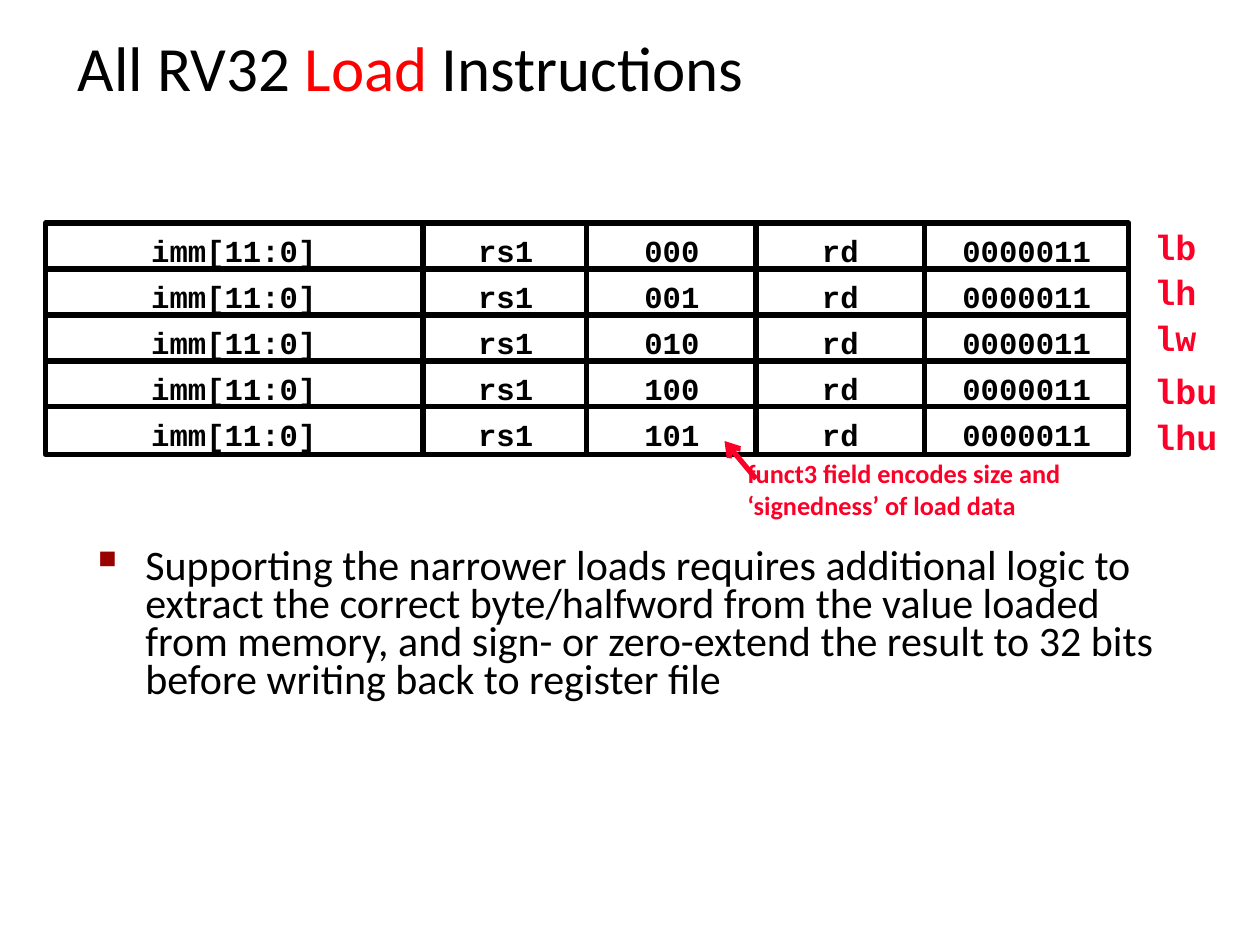
from lxml.etree import SubElement
from pptx import Presentation
from pptx.dml.color import RGBColor
from pptx.enum.shapes import MSO_CONNECTOR, MSO_SHAPE
from pptx.enum.text import MSO_ANCHOR, PP_ALIGN
from pptx.oxml.ns import qn
from pptx.util import Pt

BLACK = RGBColor(0x00, 0x00, 0x00)
WHITE = RGBColor(0xFF, 0xFF, 0xFF)
RED = RGBColor(0xFF, 0x00, 0x00)
CRIMSON = RGBColor(0xFC, 0x01, 0x28)
MAROON = RGBColor(0x99, 0x00, 0x00)

SANS = "Calibri"
MONO = "Courier New"

# Each field: left edge and width; neighbours share or slightly overlap a border.
FIELD_SPANS = [(26, 215.5), (242, 94), (335, 98), (432, 96.5), (528.5, 116.5)]
ROW_HEIGHT = 27.2
ROW_PITCH = 26.25
# Each load: mnemonic, funct3 code, top of its mnemonic label.
LOADS = [
    ("lb", "000", 125.3),
    ("lh", "001", 151.2),
    ("lw", "010", 177.1),
    ("lbu", "100", 207.4),
    ("lhu", "101", 234),
]


def add_run(paragraph, text, size, color, font=SANS, bold=False):
    run = paragraph.add_run()
    run.text = text
    formats = {"name": font, "size": Pt(size), "bold": bold}
    for attribute, value in formats.items():
        setattr(run.font, attribute, value)
    run.font.color.rgb = color


def add_text_frame(slide, left, top, width, height, wrap=True):
    box = slide.shapes.add_textbox(Pt(left), Pt(top), Pt(width), Pt(height))
    box.text_frame.word_wrap = wrap
    return box.text_frame


def set_margins(frame, left, top, right, bottom):
    margins = {"left": left, "top": top, "right": right, "bottom": bottom}
    for side, value in margins.items():
        setattr(frame, f"margin_{side}", Pt(value))


def add_title(slide, left, top, width, height):
    frame = add_text_frame(slide, left, top, width, height)
    set_margins(frame, 2, 2, 2, 2)
    heading = frame.paragraphs[0]
    heading.line_spacing = 0.87
    for text, color in [("All RV32 ", BLACK), ("Load", RED), (" Instructions", BLACK)]:
        add_run(heading, text, 36, color)


def add_bullet_text(slide, left, top, width, height, text):
    frame = add_text_frame(slide, left, top, width, height)
    item = frame.paragraphs[0]
    item.line_spacing = 0.75
    item.space_before = Pt(4.8)
    add_run(item, text, 24, BLACK)

    properties = item._p.get_or_add_pPr()
    properties.set("marL", str(Pt(27)))
    properties.set("indent", str(Pt(-27)))
    bullet_color = SubElement(properties, qn("a:buClr"))
    SubElement(bullet_color, qn("a:srgbClr"), val=str(MAROON))
    SubElement(properties, qn("a:buSzPct"), val="60000")
    SubElement(properties, qn("a:buChar"), char="■")


def add_field(row, left, top, width, height, text):
    field = row.shapes.add_shape(
        MSO_SHAPE.RECTANGLE, Pt(left), Pt(top), Pt(width), Pt(height)
    )
    field.shadow.inherit = False
    field.fill.solid()
    field.fill.fore_color.rgb = WHITE
    field.line.color.rgb = BLACK
    field.line.width = Pt(3)
    frame = field.text_frame
    frame.word_wrap = True
    frame.vertical_anchor = MSO_ANCHOR.MIDDLE
    set_margins(frame, 7.2, 3.6, 7.2, 0)
    frame.paragraphs[0].alignment = PP_ALIGN.CENTER
    add_run(frame.paragraphs[0], text, 17.5, BLACK, MONO, True)


def add_encodings(slide, top, label_left):
    """Draw one grouped row of bit fields per load, with its mnemonic beside it."""
    for index, (mnemonic, funct3, label_top) in enumerate(LOADS):
        row = slide.shapes.add_group_shape()
        row_top = top + index * ROW_PITCH
        contents = ["imm[11:0]", "rs1", funct3, "rd", "0000011"]
        for (left, width), text in zip(FIELD_SPANS, contents):
            add_field(row, left, row_top, width, ROW_HEIGHT, text)

        label_width = 14.4 + 12 * len(mnemonic)
        label = add_text_frame(
            slide, label_left, label_top, label_width, 31.5, wrap=False
        )
        add_run(label.paragraphs[0], mnemonic, 20, CRIMSON, MONO, True)


def add_funct3_note(slide, left, top, width, height):
    note = add_text_frame(slide, left, top, width, height)
    text = "funct3 field encodes size and ‘signedness’ of load data"
    add_run(note.paragraphs[0], text, 15, CRIMSON, bold=True)


def add_arrow(slide, start, end):
    arrow = slide.shapes.add_connector(
        MSO_CONNECTOR.STRAIGHT, *[Pt(value) for value in (*start, *end)]
    )
    arrow.line.color.rgb = CRIMSON
    arrow.line.width = Pt(3)
    SubElement(arrow.line._get_or_add_ln(), qn("a:tailEnd"), type="arrow")
    SubElement(arrow._element.spPr, qn("a:effectLst"))


def main():
    presentation = Presentation()
    presentation.slide_width = Pt(720)
    presentation.slide_height = Pt(540)
    slide = presentation.slides.add_slide(presentation.slide_layouts[6])

    add_title(slide, 42.5, 20, 456, 42)
    add_bullet_text(
        slide, 49, 311, 626.5, 86.5,
        "Supporting the narrower loads requires additional logic to extract "
        "the correct byte/halfword from the value loaded from memory, and "
        "sign- or zero-extend the result to 32 bits before writing back to "
        "register file",
    )
    add_funct3_note(slide, 420, 258, 228, 44)
    add_encodings(slide, top=127.5, label_left=652.5)
    add_arrow(slide, start=(432, 273.6), end=(414, 252))

    presentation.save("out.pptx")


if __name__ == "__main__":
    main()
